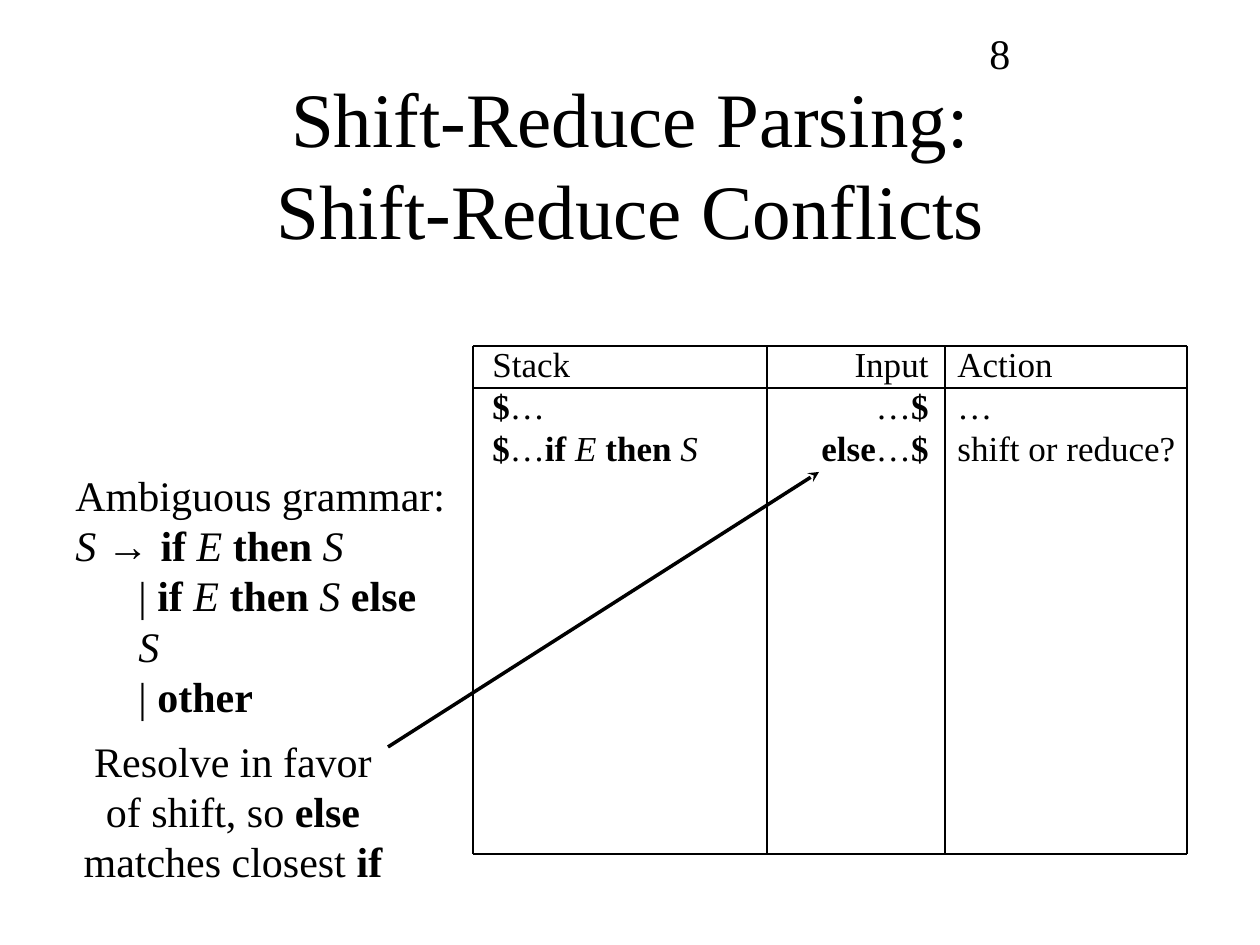
from dataclasses import dataclass

from lxml import etree
from pptx import Presentation
from pptx.dml.color import RGBColor
from pptx.enum import shapes, text
from pptx.oxml import ns
from pptx.util import Emu, Pt

PX = 914400 / 126  # EMU in one px


@dataclass(frozen=True)
class Theme:
    ink: RGBColor = RGBColor(0, 0, 0)
    paper: RGBColor = RGBColor(255, 255, 255)
    font: str = "Times New Roman"
    sign: str = "Arial"
    title: int = 44
    body: int = 24
    cell: int = 20
    rule: float = 0.75
    arrow: float = 2


T = Theme()
LEFT, MID, RIGHT = text.PP_ALIGN.LEFT, text.PP_ALIGN.CENTER, text.PP_ALIGN.RIGHT

# Runs: (words, style), where b is bold, i is italic and s is a sign
IF, THEN, ELSE = ("if ", "b"), ("then ", "b"), ("else ", "b")
E, S, END = ("E ", "i"), ("S", "i"), ("$", "b")
SP = ("S ", "i")
DOTS = ("…", "")


def px(n):
    return Emu(round(n * PX))


def write(slide, box, lines, size, align=LEFT, wrap=False, mid=False, dents=()):
    """Each line is a list of runs; dents gives the lines that are set in."""
    area = slide.shapes.add_textbox(*map(px, box))
    frame = area.text_frame
    frame.word_wrap = wrap
    if mid:
        frame.vertical_anchor = text.MSO_ANCHOR.MIDDLE
    for n, line in enumerate(lines):
        para = frame.paragraphs[0] if n == 0 else frame.add_paragraph()
        para.alignment = align
        if n in dents:
            para._p.get_or_add_pPr().set("marL", str(px(63)))
        for words, style in line:
            run = para.add_run()
            run.text = words
            font = run.font
            font.name = T.sign if style == "s" else T.font
            font.size = Pt(size)
            font.bold = style == "b"
            font.italic = style == "i"
            font.color.rgb = T.ink


def rule(slide, x1, y1, x2, y2, width=T.rule, head=False):
    line = slide.shapes.add_connector(
        shapes.MSO_CONNECTOR.STRAIGHT, px(x1), px(y1), px(x2), px(y2))
    line.line.color.rgb = T.ink
    line.line.width = Pt(width)
    if head:
        etree.SubElement(line.line._get_or_add_ln(), ns.qn("a:tailEnd"), type="stealth")
    etree.SubElement(line._element.spPr, ns.qn("a:effectLst"))


def title(slide, x, y, w, h):
    lines = [[("Shift-Reduce Parsing:", "")], [("Shift-Reduce Conflicts", "")]]
    write(slide, (x, y, w, h), lines, T.title, MID, wrap=True, mid=True)


def trace(slide, x, y, w, h):
    # Column texts: offset, width, alignment, lines
    cols = [
        (7, 231, LEFT, [[("Stack", "")], [END, DOTS], [END, DOTS, IF, E, THEN, S]]),
        (336, 132, RIGHT, [[("Input", "")], [DOTS, END], [("else", "b"), DOTS, END]]),
        (472, 243, LEFT, [[("Action", "")], [DOTS], [("shift or reduce?", "")]]),
    ]
    for dx, cw, align, lines in cols:
        write(slide, (x + dx, y - 10, cw, 139), lines, T.cell, align)
    # Grid
    for dx in (0, 294, 472, w):
        rule(slide, x + dx, y, x + dx, y + h)
    for dy in (0, 42, h):
        rule(slide, x, y + dy, x + w, y + dy)


def grammar(slide, x, y, w, h):
    bar = ("| ", "")
    lines = [
        [("Ambiguous grammar:", "")],
        [SP, ("→ ", "s"), IF, E, THEN, S],
        [bar, IF, E, THEN, SP, ELSE, S],
        [bar, ("other", "b")],
    ]
    write(slide, (x, y, w, h), lines, T.body, dents=(2, 3))


def note(slide, x, y, w, h):
    lines = [
        [("Resolve in favor", "")],
        [("of shift, so ", ""), ("else", "b")],
        [("matches closest ", ""), ("if", "b")],
    ]
    write(slide, (x, y, w, h), lines, T.body, MID)
    # Arrow to the input
    rule(slide, x + 317, y + 18, x + 748, y - 257, T.arrow, head=True)


def number(slide, x, y, w, h):
    write(slide, (x, y, w, h), [[("8", "")]], T.body, wrap=True)


def main():
    deck = Presentation()
    deck.slide_width, deck.slide_height = px(1260), px(945)
    slide = deck.slides.add_slide(deck.slide_layouts[6])
    fill = slide.background.fill
    fill.solid()
    fill.fore_color.rgb = T.paper
    title(slide, 95, 84, 1071, 158)
    trace(slide, 473, 346, 714, 508)
    grammar(slide, 63, 463, 397, 214)
    note(slide, 71, 729, 324, 164)
    number(slide, 977, 21, 262, 62)
    deck.save("out.pptx")


if __name__ == "__main__":
    main()
